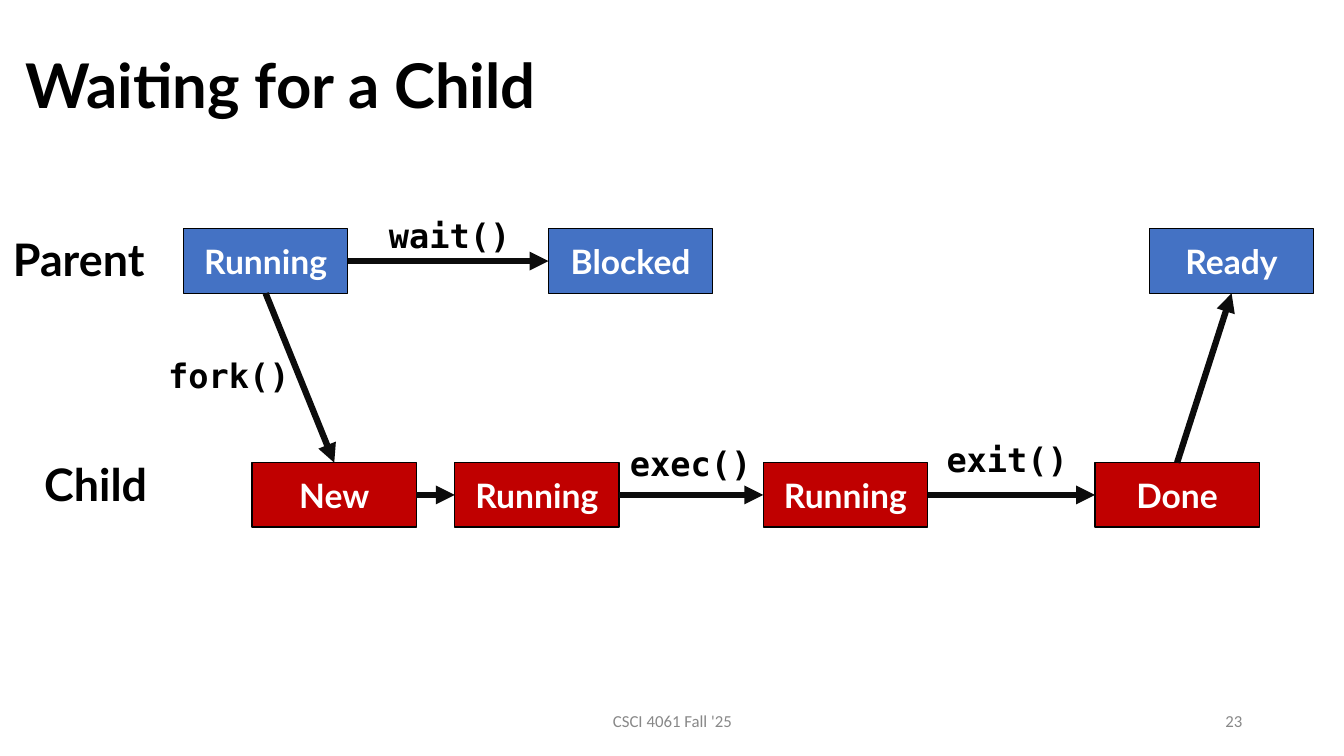
from lxml import etree
from pptx import Presentation
from pptx.dml.color import RGBColor
from pptx.enum.shapes import MSO_CONNECTOR, MSO_SHAPE
from pptx.enum.text import MSO_ANCHOR, MSO_AUTO_SIZE, PP_ALIGN
from pptx.oxml.ns import qn
from pptx.util import Inches, Pt

SLIDE_WIDTH, SLIDE_HEIGHT = 13.33, 7.5
STATE_WIDTH, STATE_HEIGHT = 1.63, 0.64
CALL_WIDTH, CALL_HEIGHT = 1.49, 0.5
NAME_WIDTH = 1.79
TOP, LEFT, BOTTOM, RIGHT = range(4)  # connection sites of a rectangle
COLORS = {"text": "000000", "footer": "888888", "parent": "4472C4",
          "child": "C00000", "state text": "FFFFFF", "arrow": "0C0C0C"}


def color(name):
    return RGBColor.from_string(COLORS[name])


def inches(box):
    return [Inches(length) for length in box]


def write(shape, text, size, ink="text", font="Lato", bold=True,
          align=PP_ALIGN.LEFT, anchor=MSO_ANCHOR.TOP):
    frame = shape.text_frame
    frame.text = text
    frame.word_wrap = True
    frame.auto_size = MSO_AUTO_SIZE.NONE
    frame.vertical_anchor = anchor
    paragraph = frame.paragraphs[0]
    paragraph.alignment = align
    paragraph.font.name = font
    paragraph.font.size = Pt(size)
    paragraph.font.bold = bold
    paragraph.font.color.rgb = color(ink)
    return paragraph


def add_title(slide, box, text):
    title = slide.shapes.title
    title.left, title.top, title.width, title.height = inches(box)
    write(title, text, 44, anchor=MSO_ANCHOR.MIDDLE).line_spacing = 0.9


def add_footer(slide, box, text, align):
    write(slide.shapes.add_textbox(*inches(box)), text, 12, "footer",
          "Calibri", False, align, MSO_ANCHOR.MIDDLE)


def add_state(slide, left, top, text, fill):
    state = slide.shapes.add_shape(
        MSO_SHAPE.RECTANGLE, *inches((left, top, STATE_WIDTH, STATE_HEIGHT)))
    state.shadow.inherit = False
    state.fill.solid()
    state.fill.fore_color.rgb = color(fill)
    state.line.color.rgb = color("text")
    state.line.width = Pt(1)
    write(state, text, 24, "state text", align=PP_ALIGN.CENTER,
          anchor=MSO_ANCHOR.MIDDLE)
    return state


def add_lane(slide, top, name, name_left, name_rise, fill, states):
    """Draw a process name and its row of (left, text) states; return the states."""
    name_box = (name_left, top - name_rise, NAME_WIDTH, STATE_HEIGHT)
    write(slide.shapes.add_textbox(*inches(name_box)), name, 32)
    return [add_state(slide, left, top, text, fill) for left, text in states]


def add_arrow(slide, source, source_site, target, target_site):
    arrow = slide.shapes.add_connector(MSO_CONNECTOR.STRAIGHT, 0, 0, 0, 0)
    arrow.begin_connect(source, source_site)
    arrow.end_connect(target, target_site)
    arrow.line.color.rgb = color("arrow")
    arrow.line.width = Pt(4.5)
    etree.SubElement(arrow.line._get_or_add_ln(), qn("a:tailEnd"), type="triangle")
    etree.SubElement(arrow._element.spPr, qn("a:effectLst"))


def add_call(slide, left, top, text):
    box = (left, top, CALL_WIDTH, CALL_HEIGHT)
    write(slide.shapes.add_textbox(*inches(box)), text, 24,
          font="DejaVu Sans Mono", align=PP_ALIGN.RIGHT)


def add_process_diagram(slide, top, lane_gap):
    child_top = top + lane_gap
    running, blocked, ready = add_lane(
        slide, top, "Parent", 0.03, 0.02, "parent",
        [(1.82, "Running"), (5.44, "Blocked"), (11.4, "Ready")])
    child_states = add_lane(
        slide, child_top, "Child", 0.34, 0.11, "child",
        [(2.5, "New"), (4.51, "Running"), (7.57, "Running"), (10.86, "Done")])

    add_arrow(slide, running, RIGHT, blocked, LEFT)
    add_arrow(slide, running, BOTTOM, child_states[0], TOP)
    for source, target in zip(child_states, child_states[1:]):
        add_arrow(slide, source, RIGHT, target, LEFT)
    add_arrow(slide, child_states[-1], TOP, ready, BOTTOM)

    for left, call_top, text in [(3.67, top - 0.19, "wait()"),
                                 (1.48, top + 1.2, "fork()"),
                                 (6.06, child_top - 0.25, "exec()"),
                                 (9.2, child_top - 0.28, "exit()")]:
        add_call(slide, left, call_top, text)


def main():
    presentation = Presentation()
    presentation.slide_width = Inches(SLIDE_WIDTH)
    presentation.slide_height = Inches(SLIDE_HEIGHT)
    slide = presentation.slides.add_slide(presentation.slide_layouts[5])
    add_title(slide, (0.15, 0.15, 11.5, 1.45), "Waiting for a Child")
    add_process_diagram(slide, top=2.27, lane_gap=2.32)
    add_footer(slide, (4.42, 6.95, 4.5, 0.4), "CSCI 4061 Fall '25", PP_ALIGN.CENTER)
    add_footer(slide, (9.42, 6.95, 3, 0.4), "23", PP_ALIGN.RIGHT)
    presentation.save("out.pptx")


if __name__ == "__main__":
    main()
